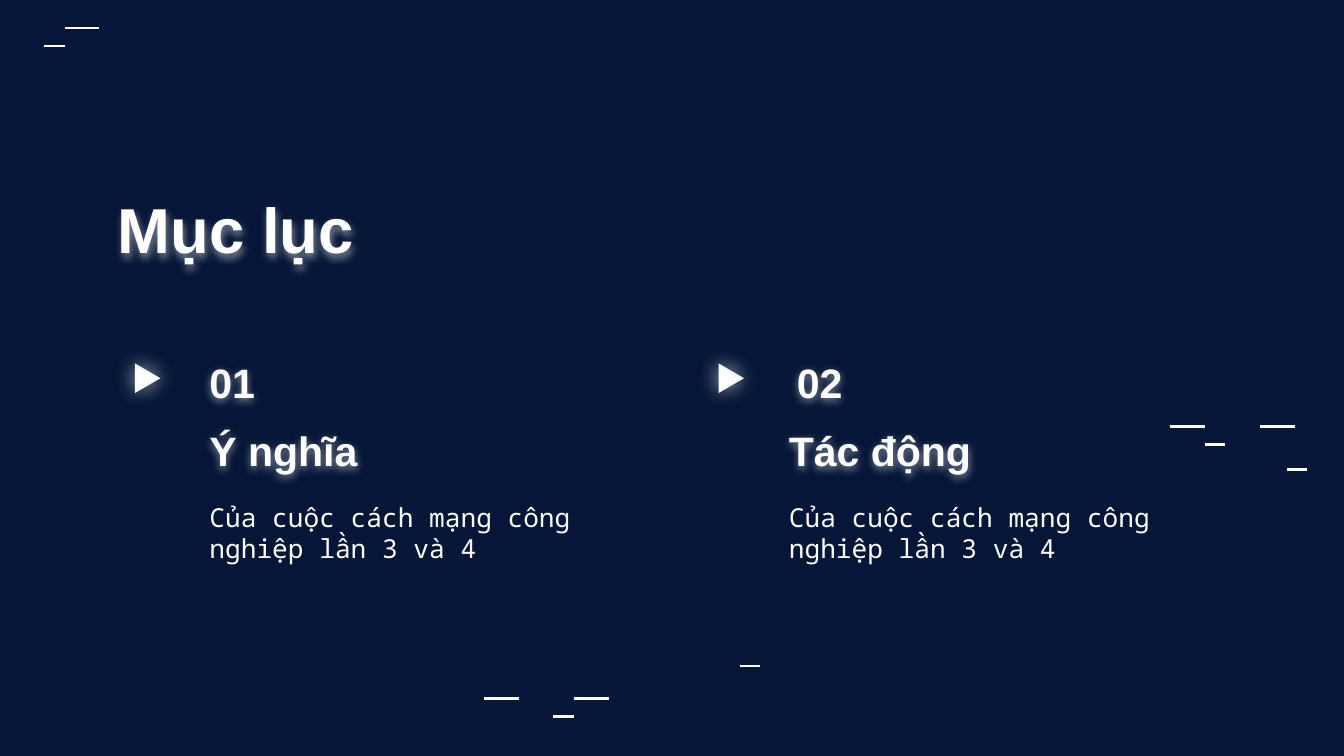
from lxml.etree import SubElement
from pptx import Presentation
from pptx.dml.color import RGBColor
from pptx.enum.shapes import MSO_CONNECTOR as Connector, MSO_SHAPE as Shape
from pptx.enum.text import MSO_ANCHOR as Anchor
from pptx.oxml.ns import qn
from pptx.util import Cm, Pt

WHITE, NAVY = "FFFFFF", "051638"
LONG, SHORT = 0.66, 0.38
INSET = Cm(0.25)
TITLE = {"name": "Arial", "size": Pt(34), "bold": True}
HEADING = {"name": "Arial", "size": Pt(22), "bold": True}
BODY = {"name": "Noto Sans Mono", "size": Pt(14), "bold": False}
FRAME = {"word_wrap": True, "margin_left": INSET, "margin_right": INSET,
         "margin_top": INSET, "margin_bottom": INSET}


def color(hex_value):
    """Turn a hex string into a colour."""
    return RGBColor.from_string(hex_value)


def apply(target, values):
    """Set each attribute in values on the target."""
    for key, value in values.items():
        setattr(target, key, value)


def add_glow(part, blur, alpha, distance=0):
    """Give a part a soft white shadow."""
    effects = part._element.spPr.find(qn("a:effectLst"))
    shadow = SubElement(effects, qn("a:outerShdw"), blurRad=str(Pt(blur)),
                        dist=str(Pt(distance)), dir="5400000", algn="bl", rotWithShape="0")
    tint = SubElement(shadow, qn("a:srgbClr"), val=WHITE)
    SubElement(tint, qn("a:alpha"), val=str(alpha * 1000))


def add_text(slide, box, wording, style, anchor=Anchor.TOP, glow=True):
    """Place one white text in a box given in centimetres."""
    label = slide.shapes.add_textbox(*map(Cm, box))
    apply(label.text_frame, {**FRAME, "vertical_anchor": anchor})
    run = label.text_frame.paragraphs[0].add_run()
    run.text = wording
    apply(run.font, style)
    run.font.color.rgb = color(WHITE)
    if glow:
        label.shadow.inherit = False
        add_glow(label, 4.5, 50, 1.5)


def add_dashes(slide, left, top, dashes):
    """Draw a cluster of dashes as offsets from its corner."""
    for dx, dy, length in dashes:
        x, y = left + dx, top + dy
        dash = slide.shapes.add_connector(
            Connector.STRAIGHT, Cm(x), Cm(y), Cm(x + length), Cm(y))
        dash.line.color.rgb = color(WHITE)
        dash.line.width = Pt(1.5)
        SubElement(dash._element.spPr, qn("a:effectLst"))


def add_entry(slide, box, number, heading, summary, number_shift, marker_gap):
    """Place a contents entry with its marker, number, heading and summary."""
    left, top, width = box
    add_text(slide, (left + number_shift, top, 4.17, 1.55), number, HEADING, Anchor.BOTTOM)
    add_text(slide, (left, top + 1.39, width, 1.47), heading, HEADING, Anchor.MIDDLE)
    add_text(slide, (left, top + 2.84, width, 1.7), summary, BODY, glow=False)
    marker = slide.shapes.add_shape(
        Shape.ISOSCELES_TRIANGLE, Cm(left - marker_gap), Cm(top + 0.53), Cm(0.56), Cm(0.48))
    marker.rotation = 90
    marker.fill.solid()
    marker.fill.fore_color.rgb = color(WHITE)
    marker.line.fill.background()
    marker.shadow.inherit = False
    add_glow(marker, 11.2, 71)


def main():
    """Build the contents slide."""
    deck = Presentation()
    apply(deck, {"slide_width": Cm(25.4), "slide_height": Cm(14.29)})
    slide = deck.slides.add_slide(deck.slide_layouts[6])
    slide.background.fill.solid()
    slide.background.fill.fore_color.rgb = color(NAVY)

    add_dashes(slide, 9.14, 13.2, [
        (0, 0, LONG), (1.7, 0, LONG), (1.32, 0.34, SHORT), (4.85, -0.61, SHORT)])
    add_dashes(slide, 0.84, 0.53, [(0.38, 0, LONG), (0, 0.34, SHORT)])
    add_text(slide, (1.98, 3.35, 21.44, 2.06), "Mục lục", TITLE)

    summary = "Của cuộc cách mạng công nghiệp lần 3 và 4"
    add_entry(slide, (3.71, 6.38, 8.13), "01", "Ý nghĩa", summary, 0, 1.2)
    add_entry(slide, (14.66, 6.38, 8.13), "02", "Tác động", summary, 0.15, 1.12)
    add_dashes(slide, 22.12, 8.06, [
        (0, 0, LONG), (1.7, 0, LONG), (0.66, 0.34, SHORT), (2.21, 0.81, SHORT)])
    deck.save("out.pptx")


if __name__ == "__main__":
    main()
